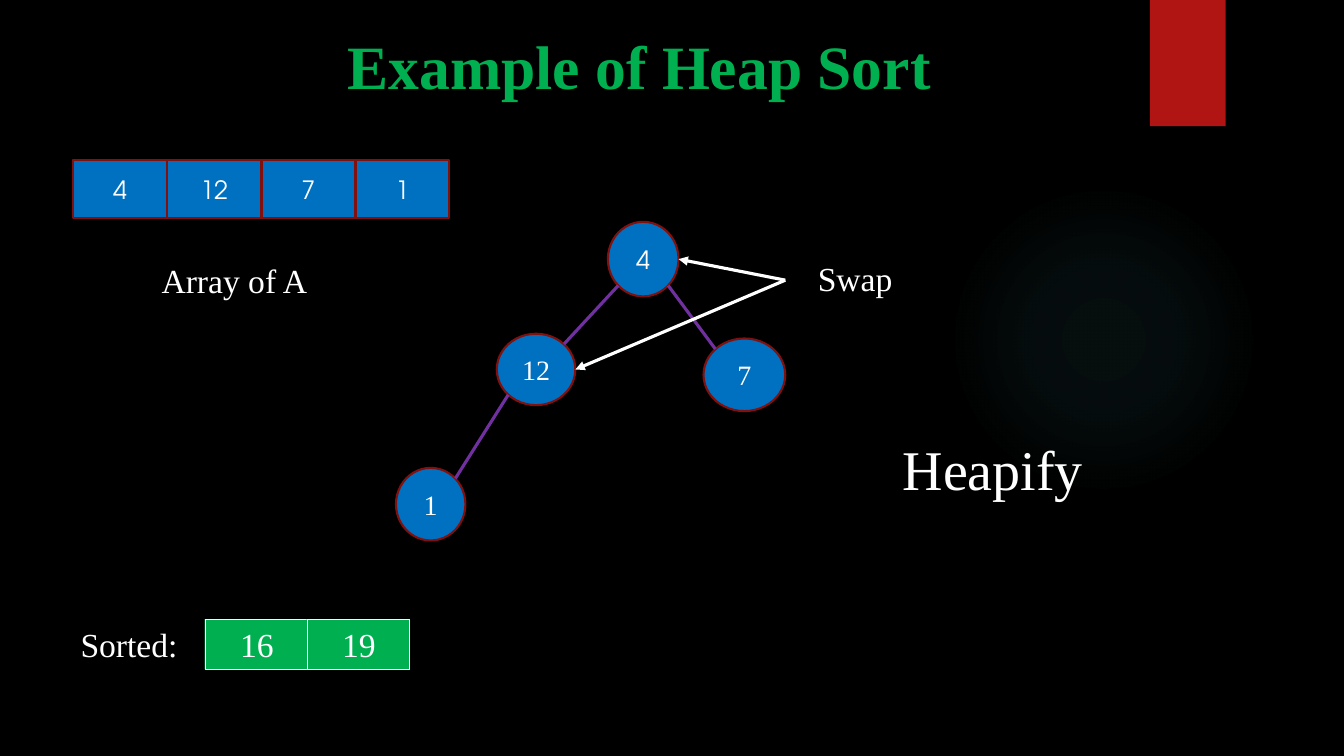
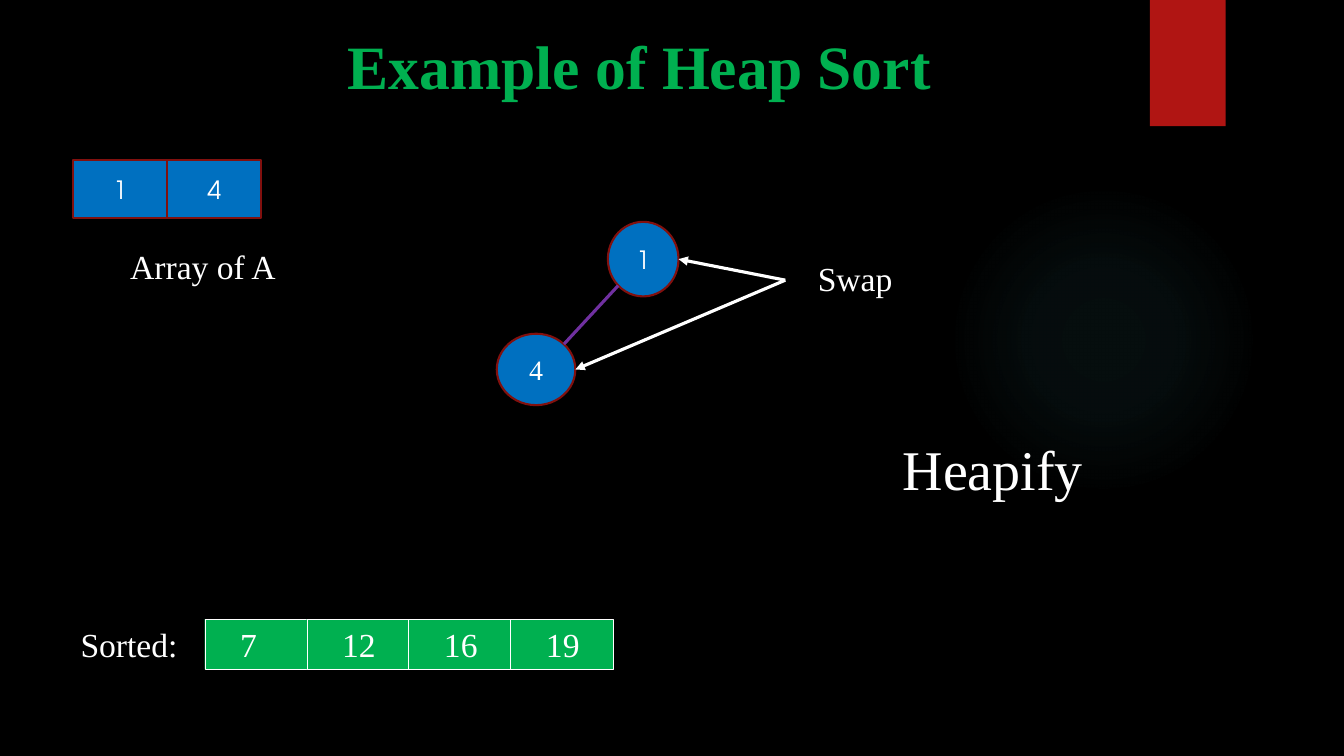
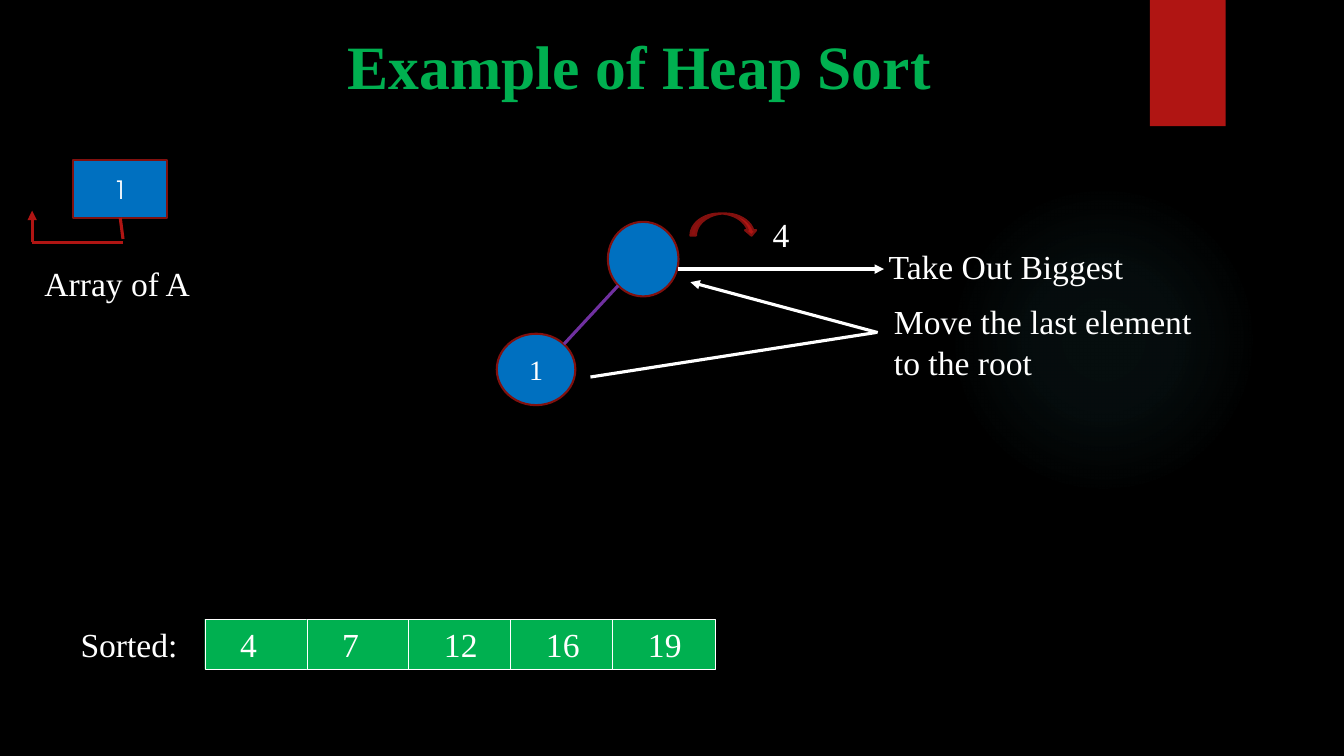
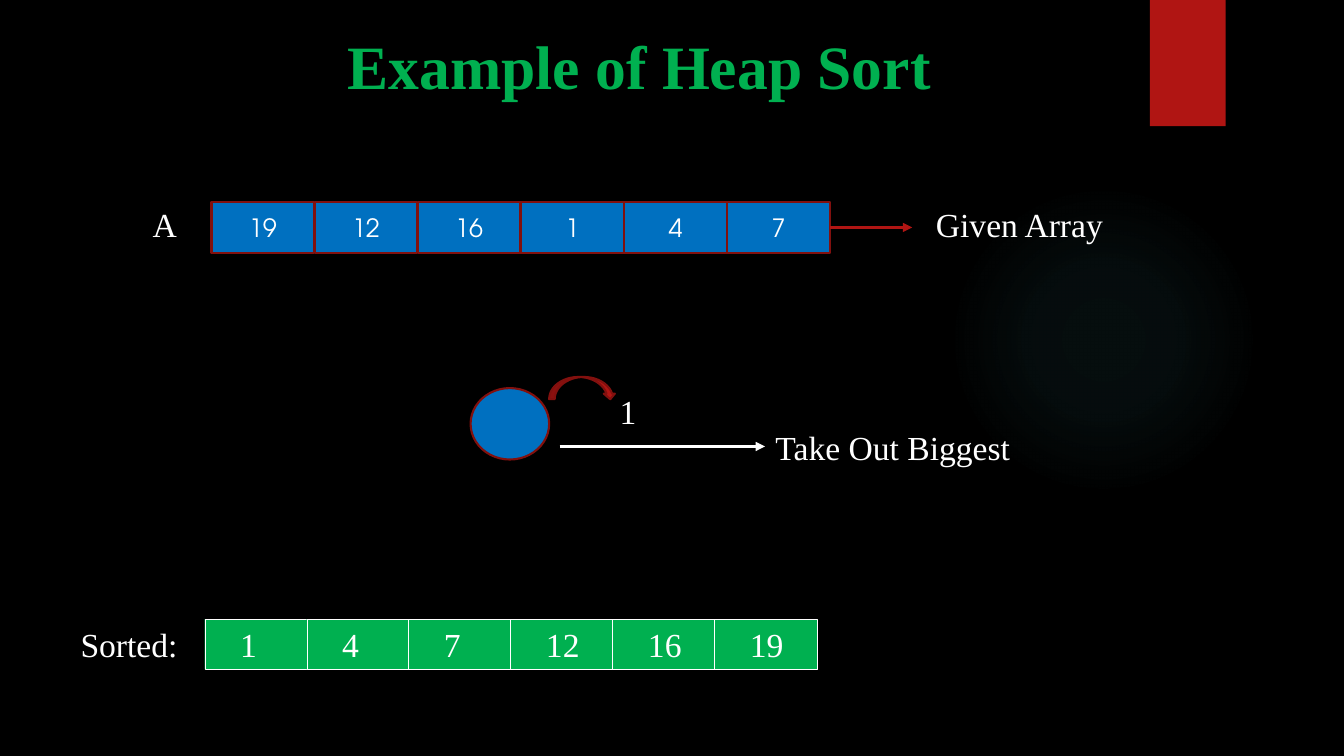
"""Build four slides that follow the last steps of a heap sort."""

from dataclasses import dataclass
from typing import Any, Optional

from pptx import Presentation
from pptx.dml.color import RGBColor
from pptx.enum.shapes import MSO_CONNECTOR, MSO_SHAPE
from pptx.enum.text import MSO_ANCHOR, PP_ALIGN
from pptx.oxml import parse_xml
from pptx.oxml.ns import nsdecls, qn
from pptx.util import Cm, Pt


@dataclass(frozen=True)
class Theme:
    background: str = "000000"
    title: str = "00B050"
    text: str = "FFFFFF"
    element: str = "0070C0"
    outline: str = "82100E"
    accent: str = "B01513"
    edge: str = "7030A0"
    glow: str = "50B9C1"
    serif: str = "Times New Roman"
    sans: str = "TeX Gyre Adventor"
    title_size: int = 44
    caption_size: int = 40
    label_size: int = 24
    node_size: int = 20
    cell_size: int = 18
    outline_width: float = 1.5
    sorted_width: float = 0.25
    stroke_width: float = 2.25


THEME = Theme()


@dataclass(frozen=True)
class Box:
    x: float
    y: float
    w: float
    h: float

    def rim(self, dx: float, dy: float) -> tuple[float, float]:
        return self.x + self.w * (1 + dx) / 2, self.y + self.h * (1 + dy) / 2


@dataclass(frozen=True)
class TextStyle:
    size: int = THEME.label_size
    font: str = THEME.serif
    color: str = THEME.text
    bold: bool = False
    centred: bool = True
    wrap: bool = True
    inset: float = 0.25


@dataclass(frozen=True)
class Label:
    text: str
    box: Box
    style: TextStyle = TextStyle()


@dataclass(frozen=True)
class Node:
    value: str
    box: Box
    style: TextStyle = TextStyle(THEME.node_size)


@dataclass(frozen=True)
class Row:
    values: tuple[str, ...]
    first: Box
    pitch: float
    style: TextStyle
    fill: str = THEME.element
    line: str = THEME.outline
    line_width: float = THEME.outline_width


@dataclass(frozen=True)
class Stroke:
    begin: tuple[float, float]
    end: tuple[float, float]
    color: str = THEME.text
    arrow: bool = True
    last_cell_side: Optional[int] = None


@dataclass(frozen=True)
class Step:
    array: Row
    sorted_values: tuple[str, ...]
    nodes: tuple[Node, ...]
    labels: tuple[Label, ...]
    strokes: tuple[Stroke, ...]
    edges: tuple[tuple[int, int], ...] = ()
    removal: Optional[Box] = None


CELL = TextStyle(THEME.cell_size, THEME.sans)
LEFT = TextStyle(centred=False)
UNWRAPPED = TextStyle(centred=False, wrap=False)
SORTED_CELL = TextStyle(centred=False, inset=0.89)
TITLE = Label("Example of Heap Sort", Box(2.97, 0.46, 26.29, 2.34),
              TextStyle(THEME.title_size, color=THEME.title, bold=True))
SORTED_LABEL = Label("Sorted:", Box(1.78, 15.6, 2.97, 1.27), UNWRAPPED)
HEAPIFY = Label("Heapify", Box(22.5, 10.82, 7.8, 1.96),
                TextStyle(THEME.caption_size, centred=False))
SWAP = Label("Swap", Box(19.53, 6.38, 4.04, 1.27))
SWAP_POINT = (19.79, 7.06)
ROOT = Box(15.32, 5.59, 1.78, 1.88)
LEFT_CHILD = Box(12.52, 8.41, 1.98, 1.8)
RIGHT_CHILD = Box(17.73, 8.53, 2.06, 1.83)
LEAF = Box(9.98, 11.79, 1.75, 1.83)
SWAP_STROKES = tuple(Stroke(SWAP_POINT, box.rim(1, 0)) for box in (LEFT_CHILD, ROOT))


def working_array(*values: str) -> Row:
    return Row(values, Box(1.85, 4.04, 2.36, 1.45), 2.37, CELL)


def array_label(x: float, y: float) -> Label:
    return Label("Array of A", Box(x, y, 4.29, 1.27))


def biggest_label(x: float, y: float) -> Label:
    return Label("Take Out Biggest", Box(x, y, 7.82, 1.19))


def removed_label(value: str, x: float, y: float) -> Label:
    return Label(value, Box(x, y, 2.03, 1.17))


STEPS = (
    Step(
        working_array("4", "12", "7", "1"),
        ("16", "19"),
        (Node("4", ROOT, CELL), Node("12", LEFT_CHILD), Node("7", RIGHT_CHILD), Node("1", LEAF)),
        (HEAPIFY, SWAP, array_label(3.76, 6.43)),
        SWAP_STROKES,
        edges=((0, 1), (0, 2), (1, 3)),
    ),
    Step(
        working_array("1", "4"),
        ("7", "12", "16", "19"),
        (Node("1", ROOT, CELL), Node("4", LEFT_CHILD)),
        (HEAPIFY, SWAP, array_label(2.97, 6.07)),
        SWAP_STROKES,
        edges=((0, 1),),
    ),
    Step(
        working_array("1"),
        ("4", "7", "12", "16", "19"),
        (Node("", ROOT), Node("1", LEFT_CHILD)),
        (
            Label("Move the last element\nto the root", Box(22.28, 7.47, 8.08, 2.31), UNWRAPPED),
            biggest_label(21.44, 6.1),
            removed_label("4", 18.67, 5.31),
            array_label(0.81, 6.5),
        ),
        (
            Stroke((17.09, 6.78), (22.28, 6.78)),
            Stroke((0.81, 6.1), (0.81, 5.31), THEME.accent),
            Stroke((0.81, 6.1), (3.1, 6.1), THEME.accent, arrow=False),
            Stroke((3.03, 5.49), (3.1, 6.02), THEME.accent, arrow=False, last_cell_side=2),
            Stroke((14.88, 9.5), (22.07, 8.38), arrow=False),
            Stroke((22.12, 8.38), (17.4, 7.11)),
        ),
        edges=((0, 1),),
        removal=Box(17.4, 5.38, 1.68, 0.56),
    ),
    Step(
        Row(("19", "12", "16", "1", "4", "7"), Box(5.33, 5.08, 2.59, 1.3), 2.6, CELL),
        ("1", "4", "7", "12", "16", "19"),
        (Node("", Box(11.86, 9.78, 1.98, 1.8)),),
        (
            biggest_label(18.59, 10.67),
            removed_label("1", 14.81, 9.78),
            Label("A", Box(2.77, 4.95, 2.77, 1.4)),
            Label("Given Array", Box(22.68, 4.83, 6.02, 1.65)),
        ),
        (
            Stroke((14.1, 11.25), (19.28, 11.25)),
            Stroke((20.92, 5.73), (22.99, 5.73), THEME.accent, last_cell_side=3),
        ),
        removal=Box(13.84, 9.5, 1.68, 0.56),
    ),
)


def rgb(color: str) -> RGBColor:
    return RGBColor.from_string(color)


def lengths(box: Box) -> tuple[Cm, ...]:
    return tuple(Cm(value) for value in (box.x, box.y, box.w, box.h))


def set_values(target: Any, values: dict[str, Any]) -> None:
    for name, value in values.items():
        setattr(target, name, value)


def write_text(shape: Any, text: str, style: TextStyle) -> None:
    frame = shape.text_frame
    set_values(frame, {
        "text": text,
        "word_wrap": style.wrap,
        "vertical_anchor": MSO_ANCHOR.MIDDLE if style.centred else MSO_ANCHOR.TOP,
        "margin_left": Cm(style.inset),
    })
    for paragraph in frame.paragraphs:
        paragraph.alignment = PP_ALIGN.CENTER if style.centred else PP_ALIGN.LEFT
        set_values(paragraph.font, {"name": style.font, "size": Pt(style.size), "bold": style.bold})
        paragraph.font.color.rgb = rgb(style.color)


def draw_label(slide: Any, label: Label) -> None:
    write_text(slide.shapes.add_textbox(*lengths(label.box)), label.text, label.style)


def draw_shape(slide: Any, kind: MSO_SHAPE, box: Box, fill: str,
               line: Optional[str] = THEME.outline, width: float = THEME.outline_width) -> Any:
    shape = slide.shapes.add_shape(kind, *lengths(box))
    shape.shadow.inherit = False
    shape.fill.solid()
    shape.fill.fore_color.rgb = rgb(fill)
    if line:
        shape.line.color.rgb = rgb(line)
        shape.line.width = Pt(width)
    else:
        shape.line.fill.background()
    return shape


def draw_row(slide: Any, row: Row) -> list[Any]:
    cells = []
    for index, value in enumerate(row.values):
        first = row.first
        box = Box(first.x + index * row.pitch, first.y, first.w, first.h)
        cell = draw_shape(slide, MSO_SHAPE.RECTANGLE, box, row.fill, row.line, row.line_width)
        write_text(cell, value, row.style)
        cells.append(cell)
    return cells


def draw_node(slide: Any, node: Node) -> None:
    circle = draw_shape(slide, MSO_SHAPE.OVAL, node.box, THEME.element)
    if node.value:
        write_text(circle, node.value, node.style)


def draw_stroke(slide: Any, stroke: Stroke, last_cell: Any) -> None:
    points = [Cm(value) for value in (*stroke.begin, *stroke.end)]
    connector = slide.shapes.add_connector(MSO_CONNECTOR.STRAIGHT, *points)
    connector.line.color.rgb = rgb(stroke.color)
    connector.line.width = Pt(THEME.stroke_width)
    if stroke.last_cell_side is not None:
        connector.begin_connect(last_cell, stroke.last_cell_side)
    properties = connector.element.spPr
    if stroke.arrow:
        head = parse_xml(f'<a:tailEnd {nsdecls("a")} type="triangle"/>')
        properties.find(qn("a:ln")).append(head)
    properties.append(parse_xml(f'<a:effectLst {nsdecls("a")}/>'))


def edge_stroke(parent: Box, child: Box) -> Stroke:
    diagonal = 0.71 if child.x > parent.x else -0.71
    return Stroke(child.rim(-diagonal, -0.71), parent.rim(diagonal, 0.71), THEME.edge, arrow=False)


def dress_layout(layout: Any, slide: Any) -> None:
    for placeholder in list(layout.placeholders):
        layout.shapes.element.remove(placeholder.element)
    layout.background.fill.solid()
    layout.background.fill.fore_color.rgb = rgb(THEME.background)
    glow = draw_shape(slide, MSO_SHAPE.OVAL, Box(23.9, 4.65, 7.82, 7.82), THEME.glow, None)
    stops = "".join(
        f'<a:gs pos="{place * 1000}"><a:srgbClr val="{THEME.glow}">'
        f'<a:alpha val="{alpha * 1000}"/></a:srgbClr></a:gs>'
        for place, alpha in ((0, 7), (36, 6), (69, 0))
    )
    gradient = parse_xml(
        f'<a:gradFill {nsdecls("a")}><a:gsLst>{stops}</a:gsLst><a:path path="circle">'
        '<a:fillToRect l="50000" t="50000" r="50000" b="50000"/></a:path></a:gradFill>'
    )
    properties = glow.element.spPr
    properties.replace(properties.find(qn("a:solidFill")), gradient)
    ribbon = draw_shape(slide, MSO_SHAPE.RECTANGLE, Box(28.98, 0, 1.91, 3.18), THEME.accent, None)
    for decoration in (glow, ribbon):
        layout.shapes.element.append(decoration.element)


def draw_step(slide: Any, step: Step) -> None:
    for label in (TITLE, SORTED_LABEL, *step.labels):
        draw_label(slide, label)
    draw_row(slide, Row(step.sorted_values, Box(5.16, 15.6, 2.59, 1.27), 2.57, SORTED_CELL,
                        THEME.title, THEME.text, THEME.sorted_width))
    cells = draw_row(slide, step.array)
    for node in step.nodes:
        draw_node(slide, node)
    if step.removal:
        draw_shape(slide, MSO_SHAPE.CURVED_DOWN_ARROW, step.removal, THEME.accent)
    edges = [edge_stroke(step.nodes[parent].box, step.nodes[child].box)
             for parent, child in step.edges]
    for stroke in (*edges, *step.strokes):
        draw_stroke(slide, stroke, cells[-1])


def main() -> None:
    deck = Presentation()
    set_values(deck, {"slide_width": Cm(33.87), "slide_height": Cm(19.05)})
    blank = deck.slide_layouts[6]
    slides = [deck.slides.add_slide(blank) for _ in STEPS]
    dress_layout(blank, slides[0])
    for slide, step in zip(slides, STEPS):
        draw_step(slide, step)
    deck.save("out.pptx")


if __name__ == "__main__":
    main()
